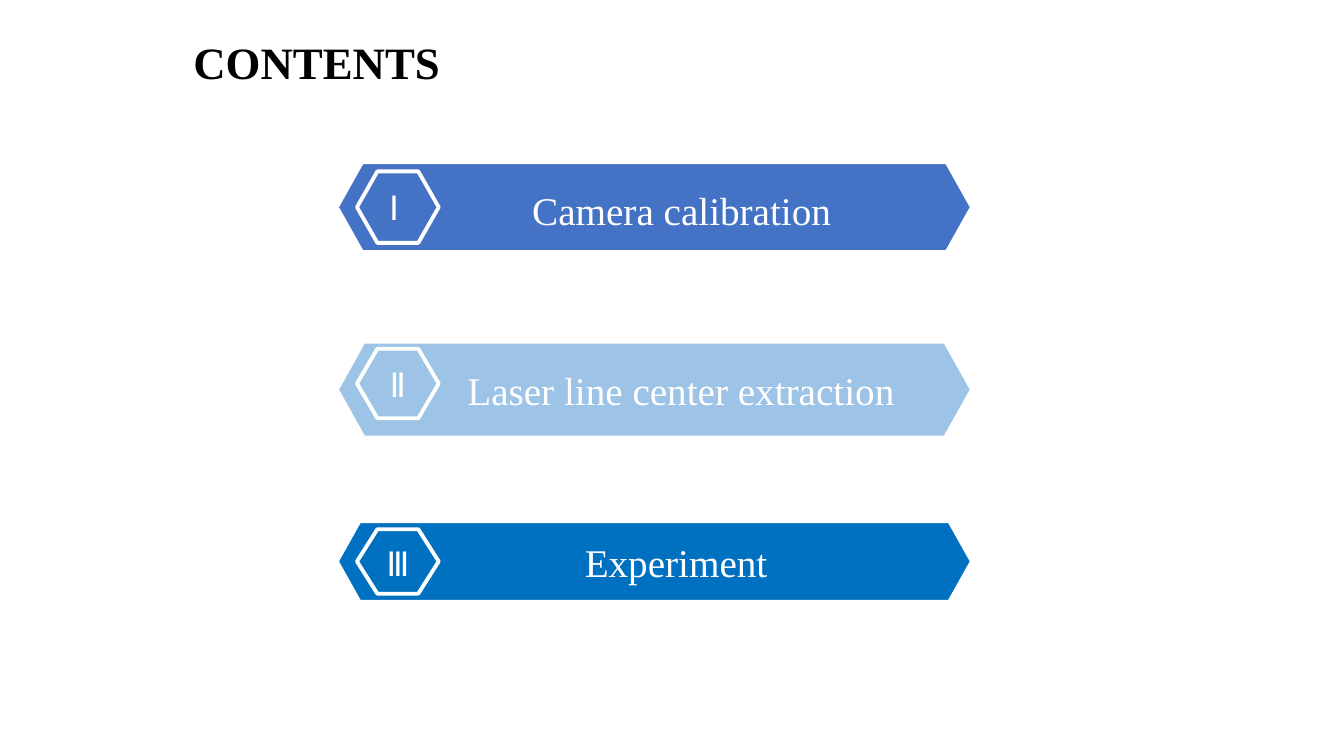
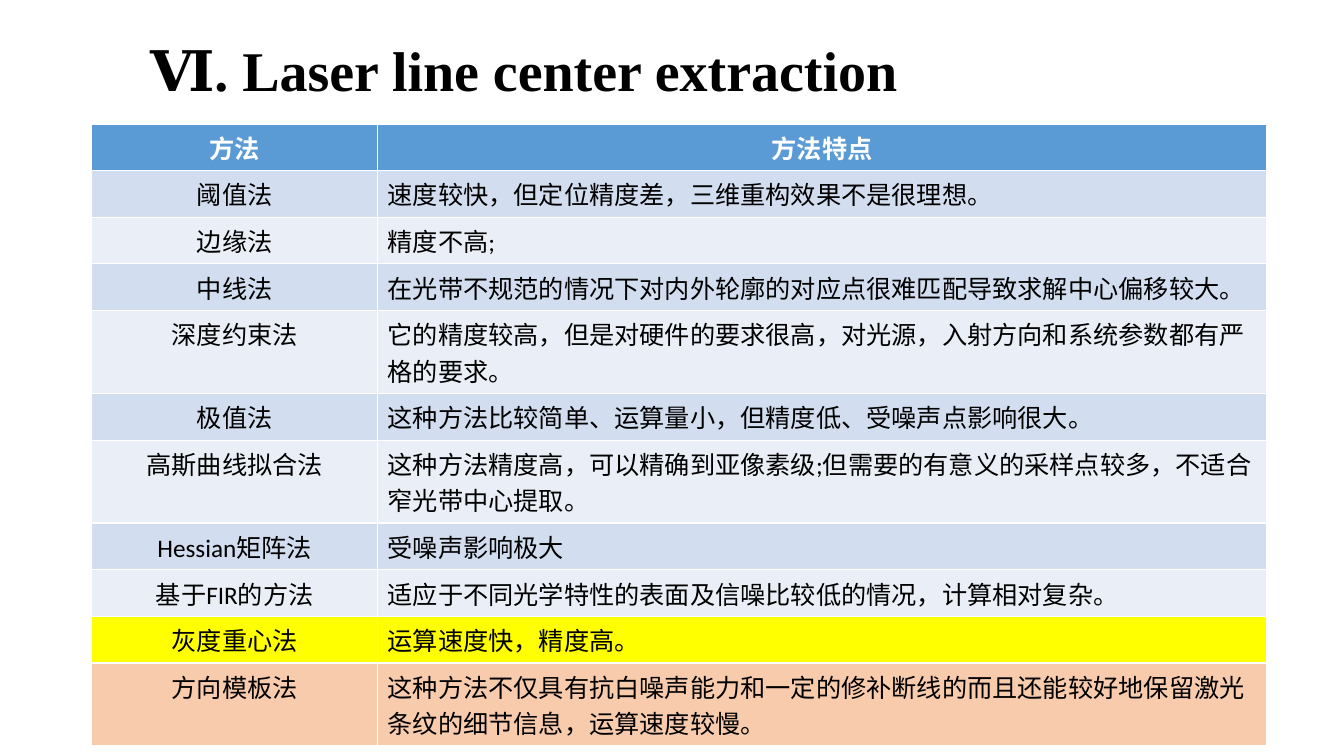
from pptx import Presentation
from pptx.dml.color import RGBColor
from pptx.enum.shapes import MSO_SHAPE
from pptx.enum.text import MSO_ANCHOR, PP_ALIGN
from pptx.util import Inches, Pt

HEXAGON = MSO_SHAPE.HEXAGON
MIDDLE = MSO_ANCHOR.MIDDLE
LEFT, CENTER = PP_ALIGN.LEFT, PP_ALIGN.CENTER
SERIF, SANS = "Times New Roman", "Calibri"
HEX = {
    "white": "FFFFFF", "black": "000000", "blue": "4472C4", "sky": "9DC3E6",
    "deep": "0070C0", "head": "5B9BD5", "dark": "D2DEEF", "light": "EAEFF7",
    "yellow": "FFFF00", "peach": "F8CBAD",
}
COLOR = {name: RGBColor.from_string(code) for name, code in HEX.items()}

deck = Presentation()
deck.slide_width, deck.slide_height = Inches(13.33), Inches(7.5)
blank = deck.slide_layouts[6]


def place(x, y, w, h):
    """Turn percentages of the slide's width and height into lengths."""
    across, down = deck.slide_width / 100, deck.slide_height / 100
    return [round(v) for v in (x * across, y * down, w * across, h * down)]


def write(frame, runs, font, color, align=LEFT, bold=False, spacing=None):
    """Fill the first paragraph with (text, size) runs."""
    frame.word_wrap = True
    para = frame.paragraphs[0]
    para.alignment = align
    if spacing:
        para.line_spacing = spacing
    for text, size in runs:
        run = para.add_run()
        run.text = text
        run.font.name, run.font.size, run.font.bold = font, Pt(size), bold
        run.font.color.rgb = COLOR[color]


# Both slides: a bold serif title
TITLES = [
    ("CONTENTS", 32, (13.65, 4, 42.24, 8.4), None),
    ("Ⅵ. Laser line center extraction", 40, (10.43, 0, 86.27, 19.33), 0.9),
]
slides = []
for text, size, spot, spacing in TITLES:
    slide = deck.slides.add_slide(blank)
    title = slide.shapes.add_textbox(*place(*spot))
    title.text_frame.vertical_anchor = MIDDLE
    write(title.text_frame, [(text, size)], SERIF, "black", bold=True, spacing=spacing)
    slides.append(slide)
contents, methods = slides

# Contents: three bars at an equal pitch, each with a numbered badge
TOP, PITCH = 21.47, 23.73
CORNERS = [(0.25, 0), (0.75, 0), (1, 0.5), (0.75, 1), (0.25, 1), (0, 0.5)]
# color, bar height, badge drop, badge height, number, line spacing, label runs
BARS = [
    ("blue", 11.87, 1.2, 9.47, "Ⅰ ", None, [(" ", 32), ("Camera calibration", 28)]),
    ("sky", 12.67, 0.93, 9.2, "Ⅱ", None, [(" Laser line center extraction", 28)]),
    ("deep", 10.67, 1.07, 8.53, "Ⅲ", 1.1, [("Experiment", 28)]),
]
for i, (color, tall, drop, high, number, spacing, label) in enumerate(BARS):
    top = TOP + i * PITCH
    bar = contents.shapes.add_shape(HEXAGON, *place(25.06, top, 47.26, tall))
    bar.adjustments[0] = 0.28
    x, y, w, h = place(26.56, top + drop, 6.08, high)
    points = [(round(x + a * w), round(y + b * h)) for a, b in CORNERS]
    outline = contents.shapes.build_freeform(*points[0])
    outline.add_line_segments(points[1:], close=True)
    badge = outline.convert_to_shape()
    for shape in (bar, badge):
        shape.shadow.inherit = False
        shape.fill.solid()
        shape.fill.fore_color.rgb = COLOR[color]
        shape.line.color.rgb = COLOR["white"]
        shape.line.width = Pt(2.75)
        frame = shape.text_frame
        frame.vertical_anchor = MIDDLE
        frame.margin_left = frame.margin_right = 0
        frame.margin_top = frame.margin_bottom = 0
    bar.text_frame.margin_left = Inches(0.51)
    bar.text_frame.margin_right = Inches(0.08)
    write(bar.text_frame, label, SERIF, "white", CENTER)
    write(badge.text_frame, [(number, 24)], SANS, "white", CENTER, spacing=spacing)

# Methods: a banded table with the last two rows marked
ROWS = [
    ("方法", "方法特点"),
    ("阈值法", "速度较快，但定位精度差，三维重构效果不是很理想。"),
    ("边缘法", "精度不高;"),
    ("中线法", "在光带不规范的情况下对内外轮廓的对应点很难匹配导致求解中心偏移较大。"),
    ("深度约束法", "它的精度较高，但是对硬件的要求很高，对光源，入射方向和系统参数都有严格的要求。"),
    ("极值法", "这种方法比较简单、运算量小，但精度低、受噪声点影响很大。"),
    ("高斯曲线拟合法", "这种方法精度高，可以精确到亚像素级;但需要的有意义的采样点较多，不适合窄光带中心提取。"),
    ("Hessian矩阵法", "受噪声影响极大"),
    ("基于FIR的方法", "适应于不同光学特性的表面及信噪比较低的情况，计算相对复杂。"),
    ("灰度重心法", "运算速度快，精度高。"),
    ("方向模板法", "这种方法不仅具有抗白噪声能力和一定的修补断线的而且还能较好地保留激光条纹的细节信息，运算速度较慢。"),
]
FILLS = ["head"] + ["dark", "light"] * 4 + ["yellow", "peach"]
WIDTHS = (21.26, 66.17)
ONE, TWO, FULL = 6.17, 10.98, 35  # one-line row, two-line row, letters in a line
heights = [TWO if len(note) > FULL else ONE for name, note in ROWS]
spot = place(6.83, 16.4, sum(WIDTHS), sum(heights))
table = methods.shapes.add_table(len(ROWS), len(WIDTHS), *spot).table
for col, wide in zip(table.columns, WIDTHS):
    col.width = place(0, 0, wide, 0)[2]
for r, (texts, fill) in enumerate(zip(ROWS, FILLS)):
    table.rows[r].height = place(0, 0, 0, heights[r])[3]
    head = r == 0
    for c, text in enumerate(texts):
        cell = table.cell(r, c)
        cell.fill.solid()
        cell.fill.fore_color.rgb = COLOR[fill]
        align = CENTER if head or c == 0 else LEFT
        write(cell.text_frame, [(text, 18)], SANS, "white" if head else "black", align, head)

deck.save("out.pptx")
